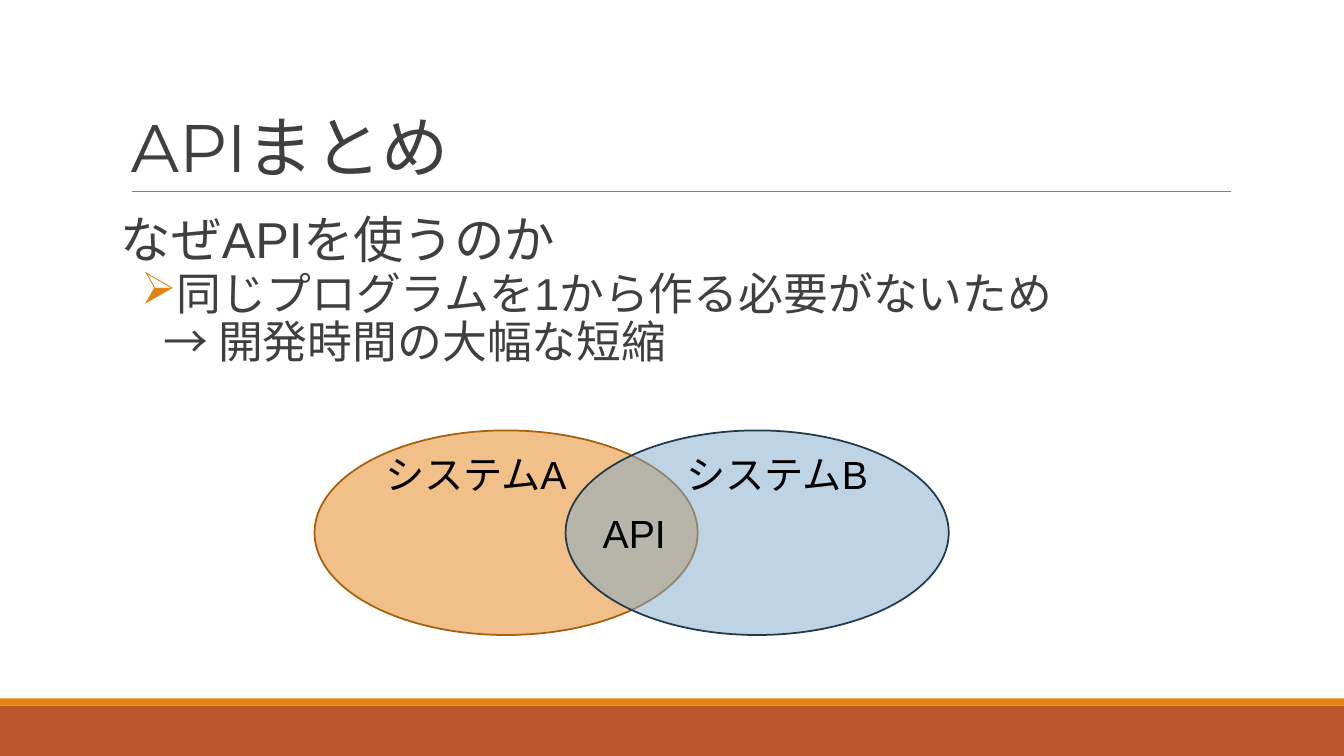
from lxml.etree import SubElement as Sub
from pptx import Presentation
from pptx.dml.color import RGBColor as RGB
from pptx.enum.shapes import MSO_CONNECTOR as Conn, MSO_SHAPE as Kind
from pptx.enum.text import MSO_ANCHOR as Anchor
from pptx.oxml.ns import qn
from pptx.util import Inches, Pt

RUST = RGB(0xBD, 0x58, 0x2C)
AMBER = RGB(0xE4, 0x83, 0x12)
BROWN = RGB(0xA6, 0x5F, 0x0D)
SKY = RGB(0x7E, 0xA9, 0xCA)
NAVY = RGB(0x1F, 0x39, 0x4D)
GRAY = RGB(0x7F, 0x7F, 0x7F)
DARK = RGB(0x3F, 0x3F, 0x3F)
BLACK = RGB(0, 0, 0)


class Deck:
    def __init__(self, wide, high):
        self.prs = Presentation()
        self.prs.slide_width = Inches(wide)
        self.prs.slide_height = Inches(high)
        self.slide = self.prs.slides.add_slide(self.prs.slide_layouts[6])
        self.font = "Arial"

    def shape(self, kind, box, fill, line=None, alpha=None):
        item = self.slide.shapes.add_shape(kind, *map(Inches, box))
        item.shadow.inherit = False
        item.fill.solid()
        item.fill.fore_color.rgb = fill
        if alpha:
            color = item.fill._xPr.find(".//" + qn("a:srgbClr"))
            Sub(color, qn("a:alpha"), val=str(alpha * 1000))
        if line:
            item.line.color.rgb = line
            item.line.width = Pt(1.25)
        else:
            item.line.fill.background()

    def rule(self, left, right, top):
        ends = map(Inches, (left, top, right, top))
        line = self.slide.shapes.add_connector(Conn.STRAIGHT, *ends)
        line.line.color.rgb = GRAY
        line.line.width = Pt(0.75)
        Sub(line._element.spPr, qn("a:effectLst"))

    def frame(self, box, pad=0.1, anchor=Anchor.TOP):
        text = self.slide.shapes.add_textbox(*map(Inches, box)).text_frame
        text.word_wrap = True
        text.vertical_anchor = anchor
        text.margin_left = text.margin_right = Inches(pad)
        text.margin_top = text.margin_bottom = Inches(0.05)
        return text

    def run(self, para, words, size, color=DARK, font=None):
        run = para.add_run()
        run.text = words
        run.font.size = Pt(size)
        run.font.name = font or self.font
        run.font.color.rgb = color

    def bullet(self, para, mark, color, left, hang):
        props = para._p.get_or_add_pPr()
        props.set("marL", str(Inches(left)))
        props.set("indent", str(Inches(-hang)))
        tint = Sub(props, qn("a:buClr"))
        Sub(tint, qn("a:srgbClr"), val=str(color))
        Sub(props, qn("a:buChar"), char=mark)

    def label(self, words, box):
        self.run(self.frame(box).paragraphs[0], words, 28, BLACK)


def main():
    deck = Deck(13.33, 7.5)
    deck.shape(Kind.RECTANGLE, (0, 7, 13.33, 0.5), RUST)
    deck.shape(Kind.RECTANGLE, (0, 6.93, 13.33, 0.07), AMBER)
    deck.rule(1.31, 12.21, 1.9)

    title = deck.frame((1.2, 0.31, 11, 1.59), anchor=Anchor.BOTTOM).paragraphs[0]
    title.line_spacing = 0.85
    deck.run(title, "APIまとめ", 48, font="Montserrat")

    body = deck.frame((1.2, 2.02, 11, 4.4), pad=0)
    deck.run(body.paragraphs[0], "なぜAPIを使うのか", 36)
    point = body.add_paragraph()
    point.level = 1
    point.line_spacing = 0.9
    point.space_before = Pt(2)
    deck.bullet(point, "➢", AMBER, 0.42, 0.22)
    deck.run(point, "同じプログラムを1から作る必要がないため", 32)
    point.add_line_break()
    deck.run(point, "→ 開発時間の大幅な短縮", 32)

    for left, fill, line in ((3.12, AMBER, BROWN), (5.61, SKY, NAVY)):
        deck.shape(Kind.OVAL, (left, 4.27, 3.8, 2.03), fill, line, 50)
    deck.label("API", (5.88, 5, 0.83, 0.45))
    deck.label("システムA", (3.72, 4.42, 2.28, 0.58))
    deck.label("システムB", (6.71, 4.42, 2.39, 0.58))
    deck.prs.save("out.pptx")


if __name__ == "__main__":
    main()
